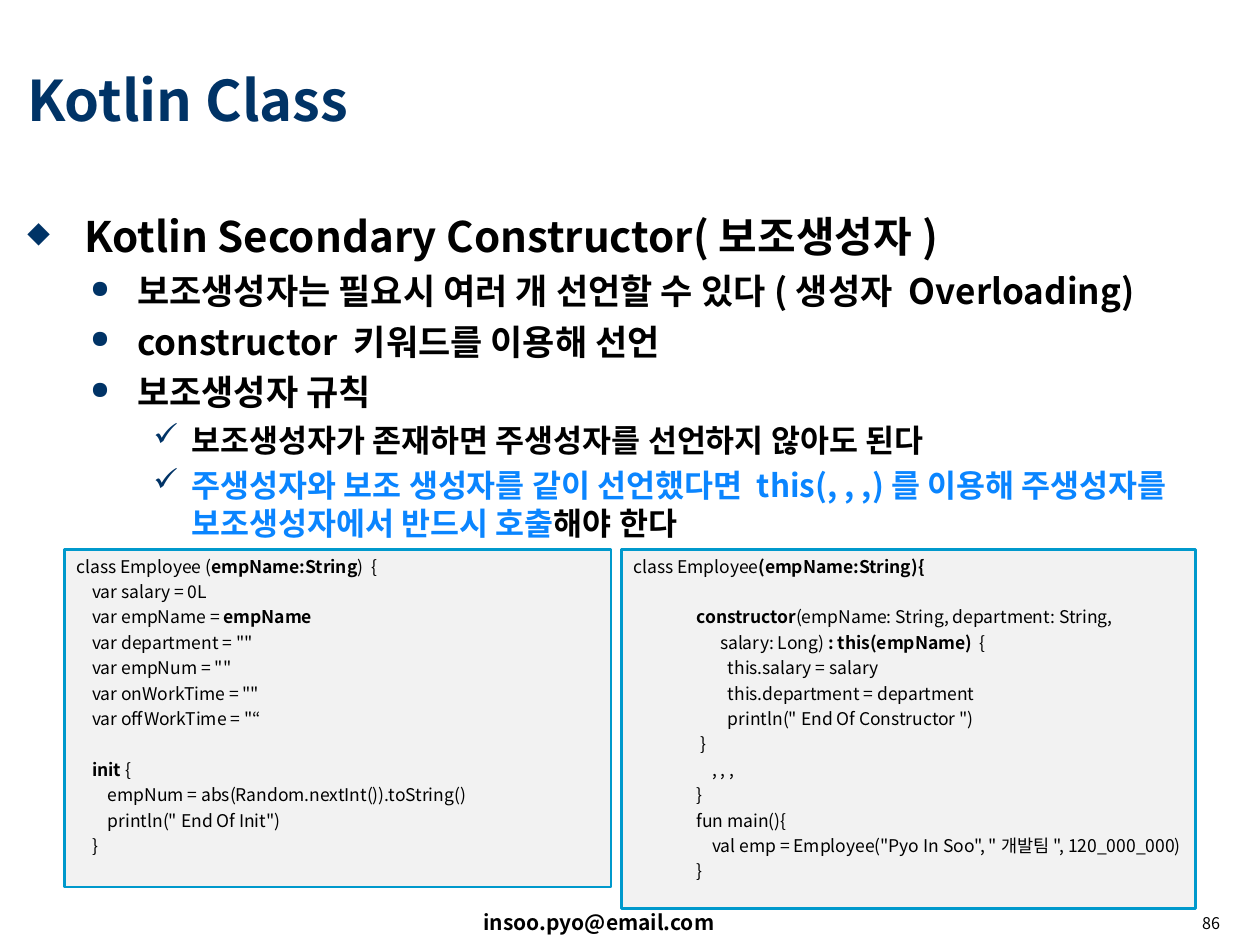
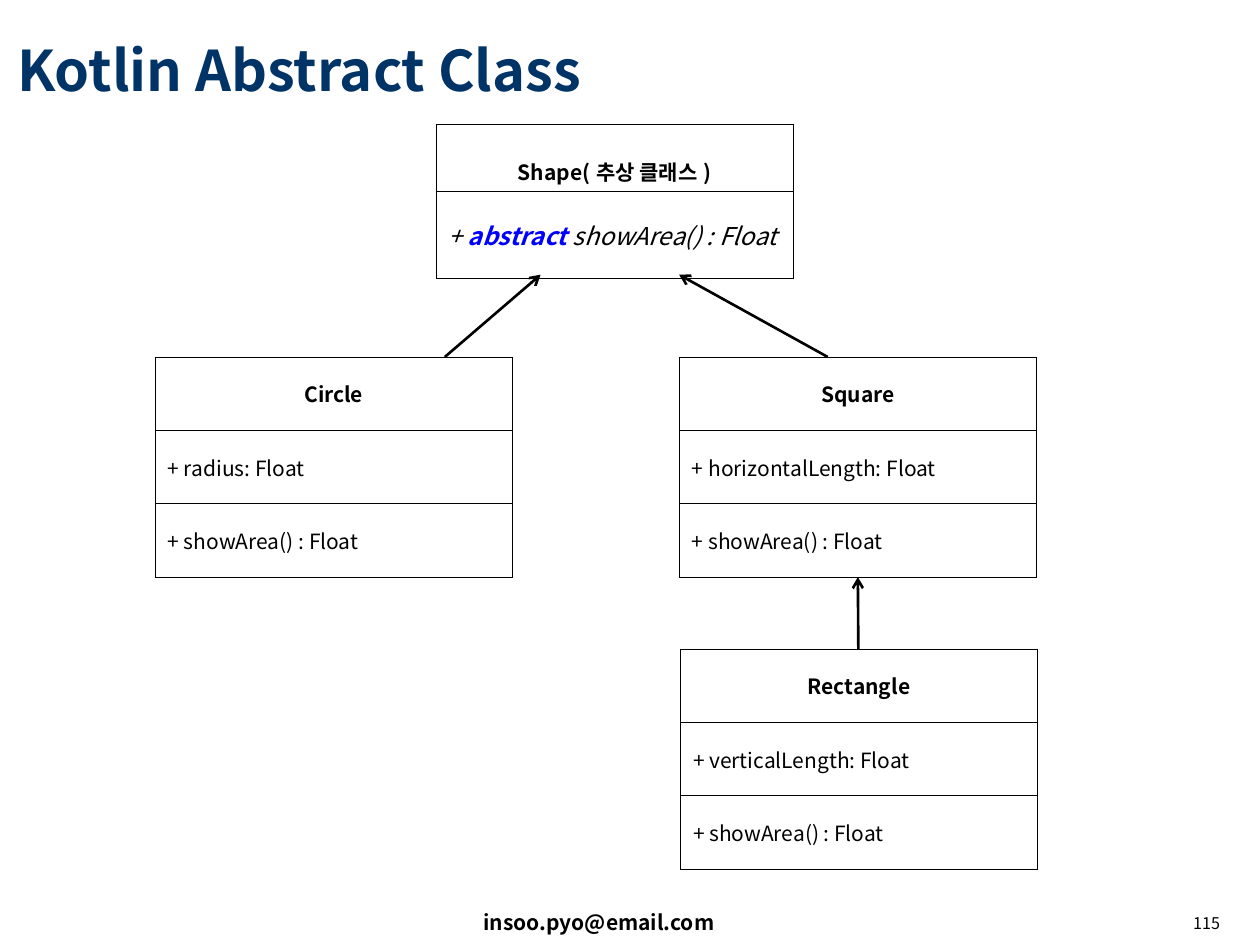
from lxml import etree
from pptx import Presentation
from pptx.dml.color import RGBColor
from pptx.enum.shapes import MSO_CONNECTOR, MSO_SHAPE
from pptx.enum.text import MSO_ANCHOR, PP_ALIGN
from pptx.oxml.ns import qn
from pptx.util import Pt

LEFT, CENTER, RIGHT = PP_ALIGN.LEFT, PP_ALIGN.CENTER, PP_ALIGN.RIGHT
TOP, MIDDLE = MSO_ANCHOR.TOP, MSO_ANCHOR.MIDDLE
RECTANGLE = MSO_SHAPE.RECTANGLE
STRAIGHT = MSO_CONNECTOR.STRAIGHT

FONT = "Noto Sans CJK KR"
COLORS = {
    "navy": "003366",
    "black": "000000",
    "accent": "0A85FF",
    "keyword": "0000FF",
    "code_fill": "F2F2F2",
    "code_line": "0099CC",
}
LEVELS = [
    {"size": 24, "margin": 32.4, "hang": 32.4, "before": 6, "char": "◆", "scale": 70},
    {"size": 20, "margin": 62.8, "hang": 26.8, "before": 5, "char": "●", "scale": 70},
    {"size": 18, "margin": 94, "hang": 22, "before": 4.5, "char": "✓", "scale": 100},
]


def rgb(name):
    return RGBColor.from_string(COLORS[name])


def child(parent, tag, **attrs):
    return etree.SubElement(parent, qn(tag), **attrs)


class Deck:
    def __init__(self):
        self.prs = Presentation()
        self.prs.slide_width, self.prs.slide_height = Pt(720), Pt(540)

    def new_slide(self, title, title_box, number):
        self.s = self.prs.slides.add_slide(self.prs.slide_layouts[6])
        self.text(269.3, 516.2, 232.6, 21.6, "insoo.pyo@email.com", 12, bold=True)
        self.text(*title_box, title, 32, color="navy", bold=True, anchor=MIDDLE)
        p = self.text(554.4, 519.8, 149.8, 20.2, number, 9.2, align=RIGHT)
        p.line_spacing = 0.9

    def run(self, p, text, size, color="black", bold=False, italic=False):
        r = p.add_run()
        r.text = text
        f = r.font
        f.size, f.name, f.bold, f.italic = Pt(size), FONT, bold, italic
        f.color.rgb = rgb(color)
        child(r._r.get_or_add_rPr(), "a:ea", typeface=FONT)

    def box(self, x, y, w, h, anchor=TOP):
        tf = self.s.shapes.add_textbox(Pt(x), Pt(y), Pt(w), Pt(h)).text_frame
        tf.word_wrap, tf.vertical_anchor = True, anchor
        return tf

    def text(self, x, y, w, h, text, size, align=LEFT, anchor=TOP, **style):
        p = self.box(x, y, w, h, anchor).paragraphs[0]
        p.alignment = align
        self.run(p, text, size, **style)
        return p

    def bullets(self, x, y, w, h, items):
        tf = self.box(x, y, w, h)
        for i, (level, runs) in enumerate(items):
            look = LEVELS[level]
            p = tf.add_paragraph() if i else tf.paragraphs[0]
            p.level = level
            pPr = p._p.get_or_add_pPr()
            pPr.set("marL", str(Pt(look["margin"])))
            pPr.set("indent", str(-Pt(look["hang"])))
            child(child(pPr, "a:buClr"), "a:srgbClr", val=COLORS["navy"])
            child(pPr, "a:buSzPct", val=str(look["scale"] * 1000))
            child(pPr, "a:buChar", char=look["char"])
            if i:
                p.space_before = Pt(look["before"])
            for text, color in runs:
                self.run(p, text, look["size"], color, bold=True)

    def code(self, x, y, w, h, lines, gap_at, indent_from=None):
        sp = self.s.shapes.add_shape(RECTANGLE, Pt(x), Pt(y), Pt(w), Pt(h))
        sp.shadow.inherit = False
        sp.fill.solid()
        sp.fill.fore_color.rgb = rgb("code_fill")
        sp.line.color.rgb = rgb("code_line")
        sp.line.width = Pt(1.5)
        tf = sp.text_frame
        tf.word_wrap, tf.vertical_anchor = True, TOP
        for i, runs in enumerate(lines):
            p = tf.add_paragraph() if i else tf.paragraphs[0]
            p.alignment = LEFT
            if indent_from is not None and i >= indent_from:
                p._p.get_or_add_pPr().set("marL", str(Pt(36)))
            if i:
                p.space_before = Pt(17 if i == gap_at else 2.5)
            for j, text in enumerate(runs):
                if text:
                    self.run(p, text, 10, bold=j % 2 == 1)

    def class_table(self, x, y, w, heights, name, members, name_top=3.6):
        frame = self.s.shapes.add_table(
            len(heights), 1, Pt(x), Pt(y), Pt(w), Pt(sum(heights)))
        table = frame.table
        table.first_row = table.horz_banding = False
        table.columns[0].width = Pt(w)
        rows = [[(name, 12, {"bold": True})]] + members
        for i, (height, runs) in enumerate(zip(heights, rows)):
            table.rows[i].height = Pt(height)
            cell = table.cell(i, 0)
            cell.vertical_anchor = MIDDLE
            cell.fill.background()
            self.borders(cell)
            p = cell.text_frame.paragraphs[0]
            p.alignment = LEFT if i else CENTER
            for text, size, style in runs:
                self.run(p, text, size, **style)
        table.cell(0, 0).margin_top = Pt(name_top)

    def borders(self, cell):
        tcPr = cell._tc.get_or_add_tcPr()
        for i, side in enumerate(("a:lnL", "a:lnR", "a:lnT", "a:lnB")):
            ln = etree.Element(qn(side), w=str(Pt(0.45)))
            child(child(ln, "a:solidFill"), "a:srgbClr", val=COLORS["black"])
            tcPr.insert(i, ln)

    def arrow(self, x1, y1, x2, y2):
        c = self.s.shapes.add_connector(STRAIGHT, Pt(x1), Pt(y1), Pt(x2), Pt(y2))
        c.line.color.rgb = rgb("black")
        c.line.width = Pt(1.5)
        child(c.line._get_or_add_ln(), "a:tailEnd", type="arrow")
        child(c._element.spPr, "a:effectLst")


def constructor_slide(deck):
    deck.new_slide("Kotlin Class", (8.6, 13, 695.5, 87.1), "86")
    deck.bullets(8.6, 116.6, 695.5, 385.9, [
        (0, [("Kotlin Secondary Constructor(보조생성자)", "black")]),
        (1, [("보조생성자는 필요시 여러 개 선언할 수 있다(생성자 Overloading)", "black")]),
        (1, [("constructor 키워드를 이용해 선언", "black")]),
        (1, [("보조생성자 규칙", "black")]),
        (2, [("보조생성자가 존재하면 주생성자를 선언하지 않아도 된다", "black")]),
        (2, [("주생성자와 보조 생성자를 같이 선언했다면 this(, , ,)를 이용해 "
              "주생성자를 보조생성자에서 반드시 호출", "accent"),
             ("해야 한다", "black")]),
    ])
    deck.code(36.7, 313.9, 312.5, 193, [
        ["class Employee (", "empName:String", ")  {"],
        ["    var salary = 0L"],
        ["    var empName = ", "empName"],
        ['    var department = ""'],
        ['    var empNum = ""'],
        ['    var onWorkTime = ""'],
        ['    var offWorkTime = "“'],
        ["    ", "init ", "{"],
        ["        empNum = abs(Random.nextInt()).toString()"],
        ['        println(" End Of Init")'],
        ["    }"],
    ], gap_at=7)
    deck.code(355, 313.9, 328.3, 205.2, [
        ["class Employee", "(empName:String){"],
        ["", "constructor", "(empName: String, department: String,"],
        ["      salary: Long)", " : this(empName)  ", "{"],
        ["        this.salary = salary"],
        ["        this.department = department"],
        ['        println(" End Of Constructor ")'],
        [" }"],
        ["    , , ,"],
        ["}"],
        ["fun main(){"],
        ['    val emp = Employee("Pyo In Soo", "개발팀", 120_000_000)'],
        ["}"],
    ], gap_at=1, indent_from=1)


def abstract_slide(deck):
    deck.new_slide("Kotlin Abstract Class", (2.9, 6.5, 695.5, 65.5), "115")
    width = 204.2
    signature = [
        ("+ ", 14, {"italic": True}),
        ("abstract ", 14, {"color": "keyword", "bold": True, "italic": True}),
        ("showArea() : Float", 14, {"italic": True}),
    ]
    deck.class_table(249.1, 71.3, width, [38, 49.8], "Shape(추상 클래스)",
                     [signature], name_top=18)
    for x, y, name, field in [
        (88.6, 204, "Circle", "radius"),
        (388.2, 204, "Square", "horizontalLength"),
        (388.8, 370.8, "Rectangle", "verticalLength"),
    ]:
        members = [[(f"+ {m}: Float", 12, {})] for m in (field, "showArea() ")]
        deck.class_table(x, y, width, [41.9] * 3, name, members)
    for ends in [
        (254.2, 204, 308.9, 157),
        (473, 204, 388.1, 157),
        (490.5, 370.8, 490.2, 329.8),
    ]:
        deck.arrow(*ends)


def main():
    deck = Deck()
    constructor_slide(deck)
    abstract_slide(deck)
    deck.prs.save("out.pptx")


if __name__ == "__main__":
    main()
